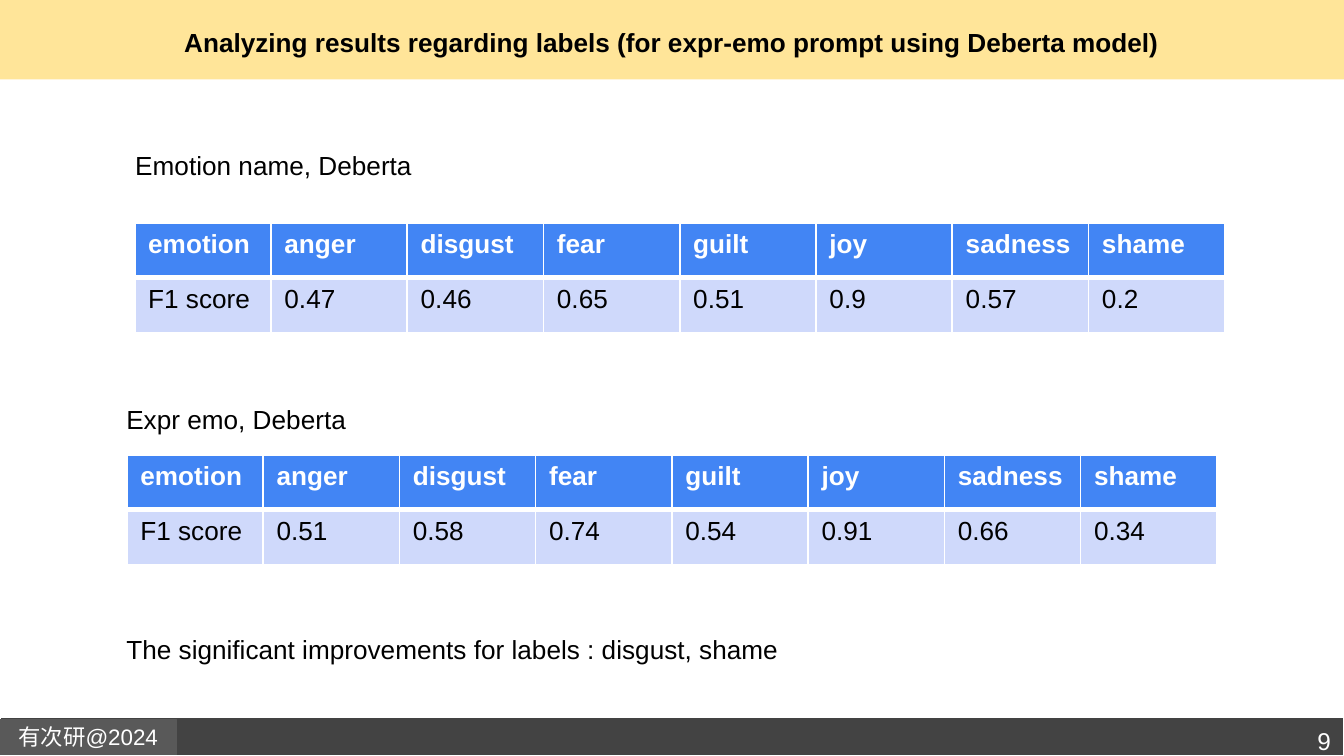
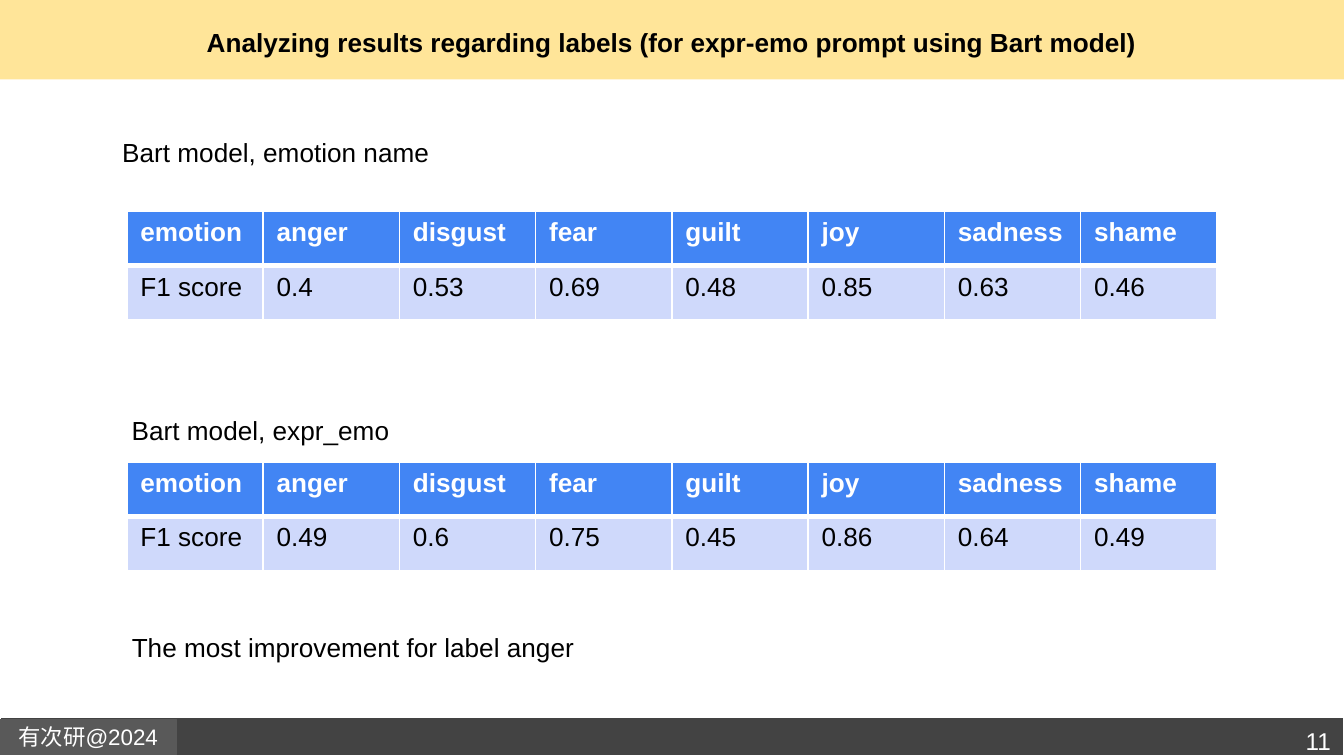
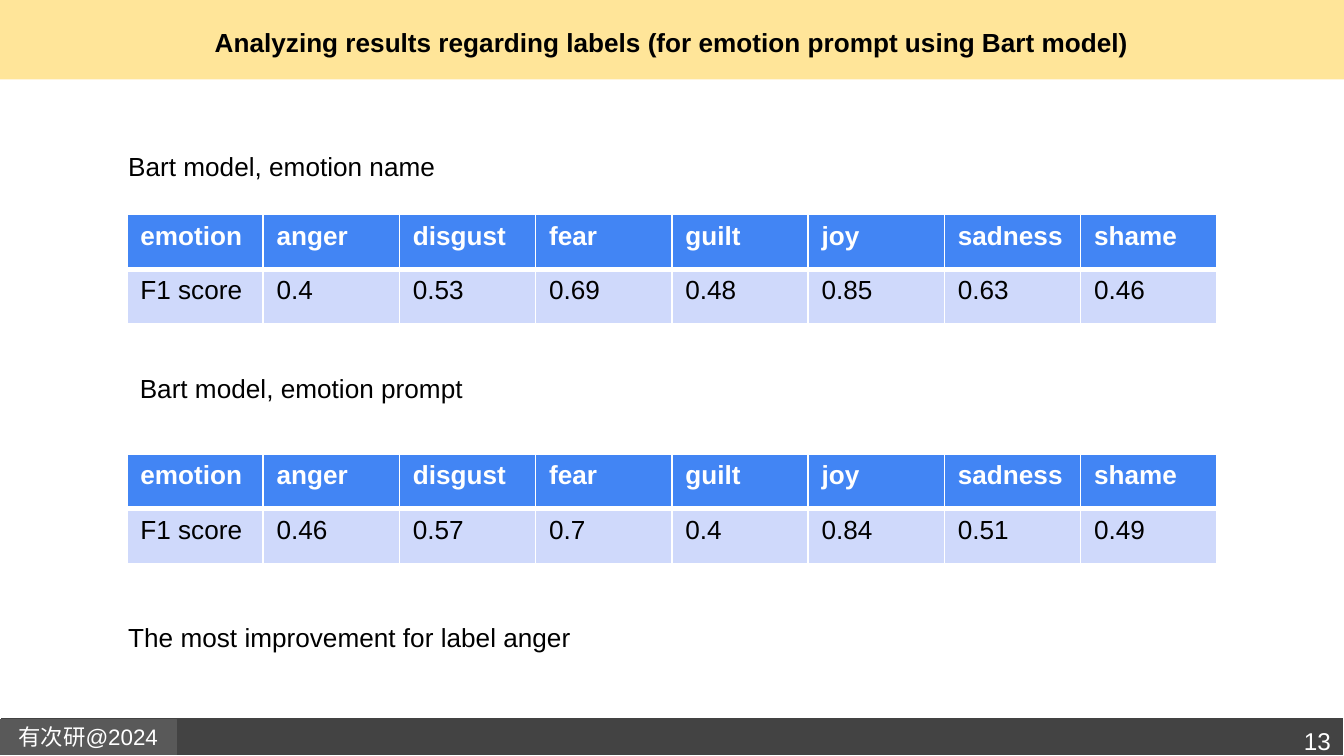
from lxml import etree
from pptx import Presentation
from pptx.dml.color import RGBColor
from pptx.enum.shapes import MSO_SHAPE
from pptx.enum.text import MSO_ANCHOR, MSO_AUTO_SIZE, PP_ALIGN
from pptx.oxml.ns import qn
from pptx.util import Pt

RECTANGLE = MSO_SHAPE.RECTANGLE
LEFT, CENTER, RIGHT = PP_ALIGN.LEFT, PP_ALIGN.CENTER, PP_ALIGN.RIGHT
MIDDLE = MSO_ANCHOR.MIDDLE
FIXED_SIZE, FIT_TEXT = MSO_AUTO_SIZE.NONE, MSO_AUTO_SIZE.SHAPE_TO_FIT_TEXT

BLACK = RGBColor(0x00, 0x00, 0x00)
WHITE = RGBColor(0xFF, 0xFF, 0xFF)
YELLOW = RGBColor(0xFF, 0xE5, 0x99)
DARK_GRAY = RGBColor(0x43, 0x43, 0x43)
GRAY = RGBColor(0x59, 0x59, 0x59)
BLUE = RGBColor(0x42, 0x85, 0xF4)
PALE_BLUE = RGBColor(0xCF, 0xD9, 0xFB)

FONT = "Arial"
TITLE_ONLY = 5
FIRST_BAND_ID = 101
SLIDE_WIDTH, SLIDE_HEIGHT = 720, 405
COLUMN_WIDTH, ROW_HEIGHT = 73, 29.2
LABEL_HEIGHT = 24.25
INSET = 7.2
THIN, THICK = 1, 3

EMOTIONS = ["emotion", "anger", "disgust", "fear", "guilt", "joy", "sadness", "shame"]
BART_EMOTION_NAME = ["0.4", "0.53", "0.69", "0.48", "0.85", "0.63", "0.46"]

# Labels: text, left, top, width, wrap. Score tables: left, top, scores.
SLIDES = [
    {
        "title": "Analyzing results regarding labels (for expr-emo prompt using Deberta model)",
        "number": "9",
        "labels": [
            ("Emotion name, Deberta", 65.4, 76.5, 163.4, False),
            ("Expr emo, Deberta", 60.6, 212.6, 132.5, False),
            ("The significant improvements for labels : disgust, shame", 60.6, 335.7, 370, False),
        ],
        "tables": [
            (72.2, 119.7, ["0.47", "0.46", "0.65", "0.51", "0.9", "0.57", "0.2"]),
            (68, 244, ["0.51", "0.58", "0.74", "0.54", "0.91", "0.66", "0.34"]),
        ],
    },
    {
        "title": "Analyzing results regarding labels (for expr-emo prompt using Bart model)",
        "number": "11",
        "labels": [
            ("Bart model, emotion name", 58.4, 69.4, 180, False),
            ("Bart model, expr_emo", 63.5, 218.4, 153.4, False),
            ("The most improvement for label anger", 63.5, 334.7, 252.7, False),
        ],
        "tables": [
            (68, 113.2, BART_EMOTION_NAME),
            (68, 247.5, ["0.49", "0.6", "0.75", "0.45", "0.86", "0.64", "0.49"]),
        ],
    },
    {
        "title": "Analyzing results regarding labels (for emotion prompt using Bart model)",
        "number": "13",
        "labels": [
            ("Bart model, emotion name", 61.6, 77, 180, False),
            ("Bart model, emotion prompt", 67.8, 196, 306, True),
            ("The most improvement for label anger", 61.6, 329.3, 252.7, False),
        ],
        "tables": [
            (68, 115, BART_EMOTION_NAME),
            (68, 243.4, ["0.46", "0.57", "0.7", "0.4", "0.84", "0.51", "0.49"]),
        ],
    },
]


class Deck:
    def __init__(self):
        self.presentation = Presentation()
        self.presentation.slide_width = Pt(SLIDE_WIDTH)
        self.presentation.slide_height = Pt(SLIDE_HEIGHT)
        self.layout = self.presentation.slide_layouts[TITLE_ONLY]
        self.slide = None

    def new_slide(self):
        self.slide = self.presentation.slides.add_slide(self.layout)
        if len(self.presentation.slides) == 1:
            self.layout_bands()

    def layout_bands(self):
        """Draw the shared bands and move them to the layout."""
        bands = [
            self.band(0, 0, SLIDE_WIDTH, 42.5, YELLOW),
            self.band(0, 384.5, SLIDE_WIDTH, 20.5, DARK_GRAY, WHITE),
            self.band(0, 385.3, 94.5, 18.9, GRAY, GRAY),
        ]
        self.add_text(bands[-1].text_frame, "有次研@2024", 12, WHITE, CENTER)
        for shape_id, shape in enumerate(bands, FIRST_BAND_ID):
            shape.element.nvSpPr.cNvPr.set("id", str(shape_id))
            self.layout.shapes.element.append(shape.element)

    def band(self, left, top, width, height, fill, line=None):
        shape = self.slide.shapes.add_shape(RECTANGLE, Pt(left), Pt(top), Pt(width), Pt(height))
        shape.shadow.inherit = False
        shape.fill.solid()
        shape.fill.fore_color.rgb = fill
        if line is None:
            shape.line.fill.background()
        else:
            shape.line.color.rgb = line
            shape.line.width = Pt(0.75)
        self.even_insets(shape.text_frame)
        shape.text_frame.vertical_anchor = MIDDLE
        return shape

    def even_insets(self, frame):
        frame.margin_left = frame.margin_right = Pt(INSET)
        frame.margin_top = frame.margin_bottom = Pt(INSET)

    def add_text(self, frame, text, size, color, alignment=LEFT, bold=False):
        paragraph = frame.paragraphs[0]
        paragraph.alignment = alignment
        run = paragraph.add_run()
        run.text = text
        run.font.name = FONT
        run.font.size = Pt(size)
        run.font.bold = bold
        run.font.color.rgb = color

    def title(self, text):
        shape = self.slide.shapes.title
        shape.left, shape.top, shape.width, shape.height = Pt(24.5), Pt(0), Pt(671), Pt(45.4)
        frame = shape.text_frame
        frame.auto_size = FIXED_SIZE
        frame.word_wrap = True
        frame.vertical_anchor = MIDDLE
        self.even_insets(frame)
        self.add_text(frame, text, 14, BLACK, CENTER, bold=True)

    def page_number(self, number):
        box = self.slide.shapes.add_textbox(Pt(644.4), Pt(381.8), Pt(75.6), Pt(26.6))
        box.text_frame.word_wrap = True
        self.even_insets(box.text_frame)
        self.add_text(box.text_frame, number, 13, WHITE, RIGHT)

    def label(self, text, left, top, width, wrap):
        box = self.slide.shapes.add_textbox(Pt(left), Pt(top), Pt(width), Pt(LABEL_HEIGHT))
        box.text_frame.word_wrap = wrap
        box.text_frame.auto_size = FIT_TEXT
        self.add_text(box.text_frame, text, 14, BLACK)

    def score_table(self, left, top, scores):
        rows = [EMOTIONS, ["F1 score", *scores]]
        table = self.slide.shapes.add_table(
            len(rows), len(EMOTIONS), Pt(left), Pt(top),
            Pt(COLUMN_WIDTH * len(EMOTIONS)), Pt(ROW_HEIGHT * len(rows)),
        ).table
        for column in table.columns:
            column.width = Pt(COLUMN_WIDTH)
        for row_index, texts in enumerate(rows):
            table.rows[row_index].height = Pt(ROW_HEIGHT)
            header = row_index == 0
            for column_index, text in enumerate(texts):
                cell = table.cell(row_index, column_index)
                self.add_text(cell.text_frame, text, 14, WHITE if header else BLACK, bold=header)
                self.cell_borders(cell, header)
                cell.fill.solid()
                cell.fill.fore_color.rgb = BLUE if header else PALE_BLUE

    def cell_borders(self, cell, header):
        """Outline a cell in white, thicker between header and scores."""
        properties = cell._tc.get_or_add_tcPr()
        thick_side = "lnB" if header else "lnT"
        for side in ("lnL", "lnR", "lnT", "lnB"):
            width = THICK if side == thick_side else THIN
            line = etree.SubElement(properties, qn(f"a:{side}"), w=str(Pt(width)))
            fill = etree.SubElement(line, qn("a:solidFill"))
            etree.SubElement(fill, qn("a:srgbClr"), val=str(WHITE))


def main():
    deck = Deck()
    for content in SLIDES:
        deck.new_slide()
        deck.title(content["title"])
        deck.page_number(content["number"])
        for label in content["labels"]:
            deck.label(*label)
        for table in content["tables"]:
            deck.score_table(*table)
    deck.presentation.save("out.pptx")


if __name__ == "__main__":
    main()
